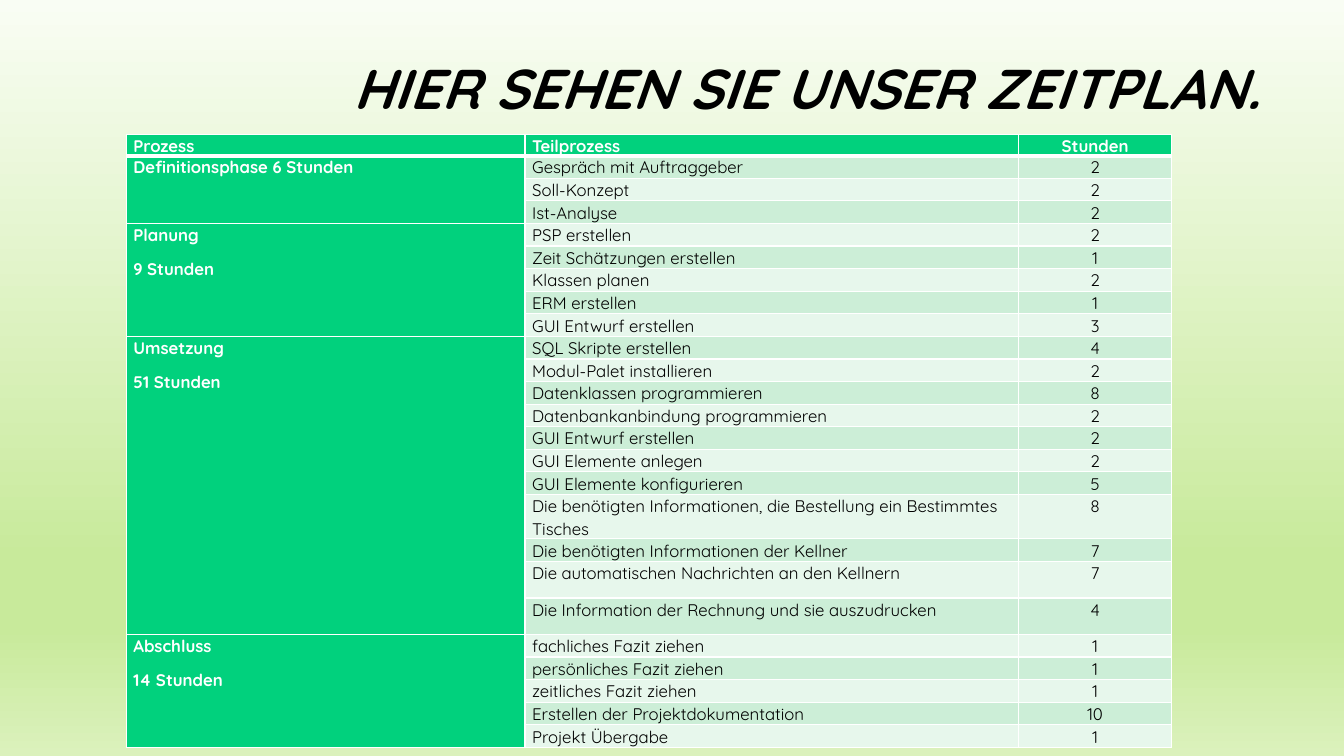
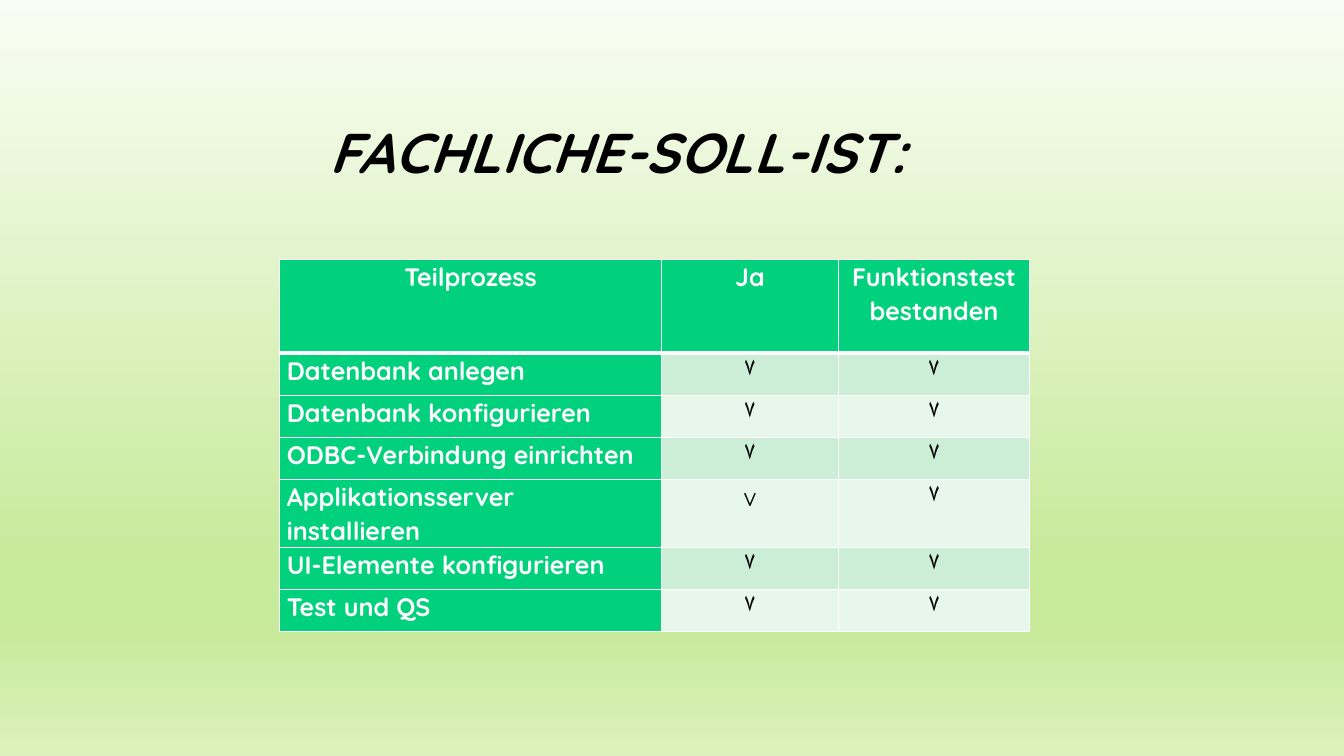
from lxml import etree
from pptx import Presentation
from pptx.dml.color import RGBColor
from pptx.enum.text import MSO_ANCHOR, PP_ALIGN
from pptx.oxml.ns import qn
from pptx.util import Cm, Pt

LEFT, CENTER = PP_ALIGN.LEFT, PP_ALIGN.CENTER
MIDDLE = MSO_ANCHOR.MIDDLE
FONT = "Quicksand"
COLORS = {
    "text": "000000",
    "light": "FFFFFF",
    "accent": "01D17D",
    "band_dark": "CCEED7",
    "band_light": "E7F7EC",
}
BACKGROUND_STOPS = [(0, "F9FDF4"), (74, "C8EA9B"), (83, "C8EA9B"), (100, "DBF1BC")]
TITLE_WIDTH, TITLE_HEIGHT = 23.93, 3.58
CHECK = "۷"

PHASES = [
    ("Definitionsphase 6 Stunden", [
        ("Gespräch mit Auftraggeber", 2),
        ("Soll-Konzept", 2),
        ("Ist-Analyse", 2),
    ]),
    ("Planung\n9 Stunden", [
        ("PSP erstellen", 2),
        ("Zeit Schätzungen erstellen", 1),
        ("Klassen planen", 2),
        ("ERM erstellen", 1),
        ("GUI Entwurf erstellen", 3),
    ]),
    ("Umsetzung\n51 Stunden", [
        ("SQL Skripte erstellen", 4),
        ("Modul-Palet installieren", 2),
        ("Datenklassen programmieren", 8),
        ("Datenbankanbindung programmieren", 2),
        ("GUI Entwurf erstellen", 2),
        ("GUI Elemente anlegen", 2),
        ("GUI Elemente konfigurieren", 5),
        ("Die benötigten Informationen, die Bestellung ein Bestimmtes Tisches", 8),
        ("Die benötigten Informationen der Kellner", 7),
        ("Die automatischen Nachrichten an den Kellnern", 7),
        ("Die Information der Rechnung und sie auszudrucken", 4),
    ]),
    ("Abschluss\n14 Stunden", [
        ("fachliches Fazit ziehen", 1),
        ("persönliches Fazit ziehen", 1),
        ("zeitliches Fazit ziehen", 1),
        ("Erstellen der Projektdokumentation", 10),
        ("Projekt Übergabe", 1),
    ]),
]
SCHEDULE_ROW_HEIGHT = 0.57
SPECIAL_ROW_HEIGHTS = {0: 0.54, 16: 1.12, 18: 0.92, 19: 0.92}

TEST_ROWS = [
    ("Teilprozess", "Ja", "Funktionstest bestanden"),
    ("Datenbank anlegen", CHECK, CHECK),
    ("Datenbank konfigurieren", CHECK, CHECK),
    ("ODBC-Verbindung einrichten", CHECK, CHECK),
    ("Applikationsserver installieren", "v", CHECK),
    ("UI-Elemente konfigurieren", CHECK, CHECK),
    ("Test und QS", CHECK, CHECK),
]
TEST_ROW_HEIGHTS = [2.36, 1.06, 1.06, 1.06, 1.71, 1.06, 1.06]


def color(name):
    return RGBColor.from_string(COLORS[name])


def set_background(master):
    fill = master.background.fill
    fill.gradient()
    fill.gradient_angle = 270
    stop_list = master.element.xpath("./p:cSld/p:bg//a:gsLst")[0]
    for stop in list(stop_list):
        stop_list.remove(stop)
    for position, value in BACKGROUND_STOPS:
        stop = etree.SubElement(stop_list, qn("a:gs"), pos=str(position * 1000))
        etree.SubElement(stop, qn("a:srgbClr"), val=value)


def style_paragraph(paragraph, size, color_name, bold, spacing):
    paragraph.line_spacing = spacing
    paragraph.font.name = FONT
    paragraph.font.size = Pt(size)
    paragraph.font.bold = bold
    paragraph.font.color.rgb = color(color_name)


def add_title(slide, left, top, text):
    shape = slide.shapes.add_textbox(Cm(left), Cm(top), Cm(TITLE_WIDTH), Cm(TITLE_HEIGHT))
    frame = shape.text_frame
    frame.word_wrap = True
    frame.vertical_anchor = MIDDLE
    frame.text = text
    paragraph = frame.paragraphs[0]
    style_paragraph(paragraph, 40, "text", True, 0.9)
    paragraph.font.italic = True


def set_borders(cell, top, bottom):
    properties = cell._tc.get_or_add_tcPr()
    sides = [("a:lnL", 1), ("a:lnR", 1), ("a:lnT", top), ("a:lnB", bottom)]
    for index, (tag, width) in enumerate(sides):
        line = etree.Element(qn(tag), w=str(Pt(width)))
        fill = etree.SubElement(line, qn("a:solidFill"))
        etree.SubElement(fill, qn("a:srgbClr"), val=COLORS["light"])
        properties.insert(index, line)


def fill_cell(cell, text, size, alignment, row, column):
    emphasized = row == 0 or column == 0
    band = "band_dark" if row % 2 else "band_light"
    cell.margin_left = cell.margin_right = Cm(0.18)
    cell.margin_top = cell.margin_bottom = 0
    cell.fill.solid()
    cell.fill.fore_color.rgb = color("accent" if emphasized else band)
    set_borders(cell, 3 if row == 1 else 1, 3 if row == 0 else 1)
    cell.text_frame.text = text
    for paragraph in cell.text_frame.paragraphs:
        style_paragraph(paragraph, size, "light" if emphasized else "text", emphasized, 1.07)
        paragraph.alignment = alignment
        paragraph.space_after = Pt(8)


def add_grid(slide, left, top, widths, heights, rows, size, header_alignments, body_alignments):
    frame = slide.shapes.add_table(len(rows), len(widths), Cm(left), Cm(top),
                                   Cm(sum(widths)), Cm(sum(heights)))
    table = frame.table
    table.horz_banding = False
    for column, width in zip(table.columns, widths):
        column.width = Cm(width)
    for row, height in zip(table.rows, heights):
        row.height = Cm(height)
    for row, texts in enumerate(rows):
        alignments = body_alignments if row else header_alignments
        for column, text in enumerate(texts):
            fill_cell(table.cell(row, column), text, size, alignments[column], row, column)
    return table


def build_schedule(slide):
    add_title(slide, 8.66, 0.51, "HIER SEHEN SIE UNSER ZEITPLAN.")
    rows = [("Prozess", "Teilprozess", "Stunden")]
    spans = []
    for phase, tasks in PHASES:
        spans.append((len(rows), len(rows) + len(tasks) - 1))
        for index, (task, hours) in enumerate(tasks):
            rows.append(("" if index else phase, task, str(hours)))
    heights = [SPECIAL_ROW_HEIGHTS.get(row, SCHEDULE_ROW_HEIGHT) for row in range(len(rows))]
    alignments = (LEFT, LEFT, CENTER)
    table = add_grid(slide, 3.18, 3.38, (10.05, 12.44, 3.86), heights, rows, 12,
                     alignments, alignments)
    for first, last in spans:
        table.cell(first, 0).merge(table.cell(last, 0))


def build_test_results(slide):
    add_title(slide, 8.05, 2.13, "FACHLICHE-SOLL-IST:")
    table = add_grid(slide, 7.05, 6.54, (9.62, 4.46, 4.82), TEST_ROW_HEIGHTS, TEST_ROWS, 18,
                     (CENTER, CENTER, CENTER), (LEFT, CENTER, CENTER))
    for row, texts in enumerate(TEST_ROWS):
        for column, text in enumerate(texts):
            if text == CHECK and (row, column) != (1, 2):
                paragraph = table.cell(row, column).text_frame.paragraphs[0]
                paragraph._p.get_or_add_pPr().set("rtl", "1")


def main():
    presentation = Presentation()
    presentation.slide_width = Cm(33.87)
    presentation.slide_height = Cm(19.05)
    set_background(presentation.slide_master)
    blank_layout = presentation.slide_layouts[6]
    for build in (build_schedule, build_test_results):
        build(presentation.slides.add_slide(blank_layout))
    presentation.save("out.pptx")


if __name__ == "__main__":
    main()
